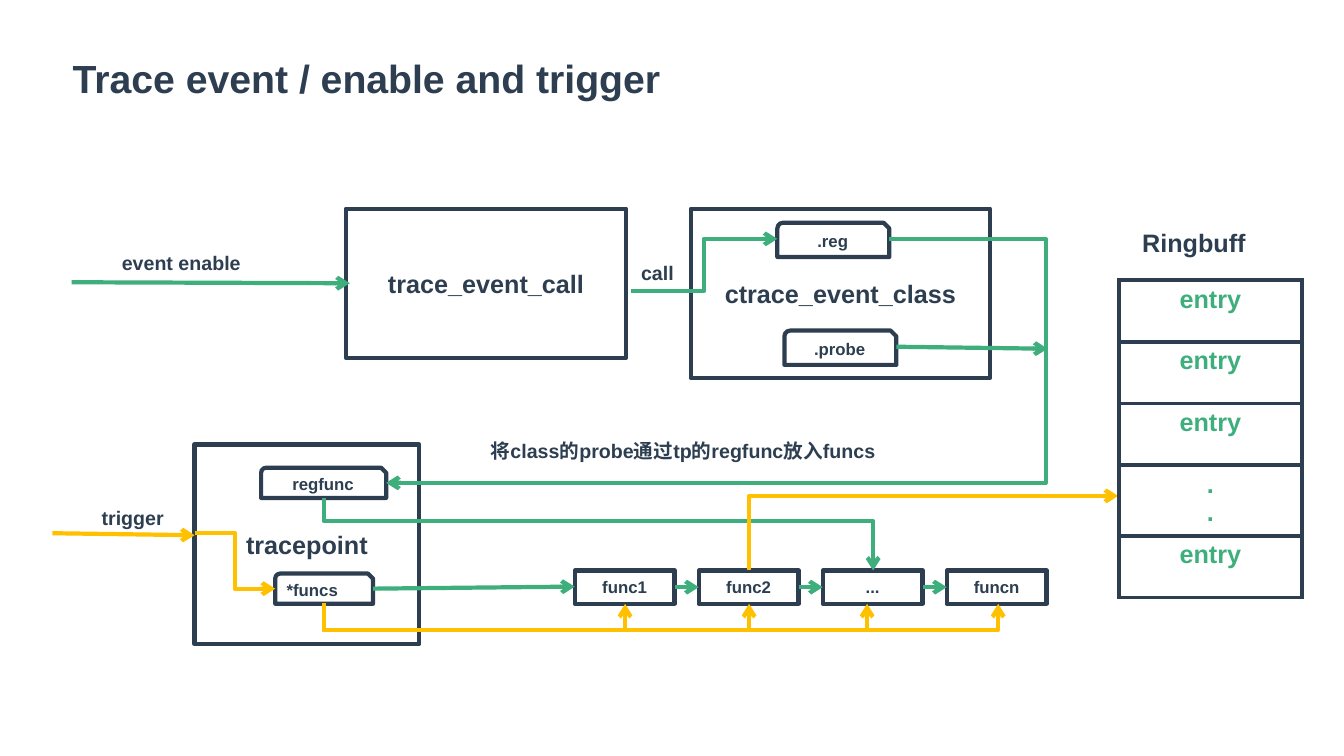
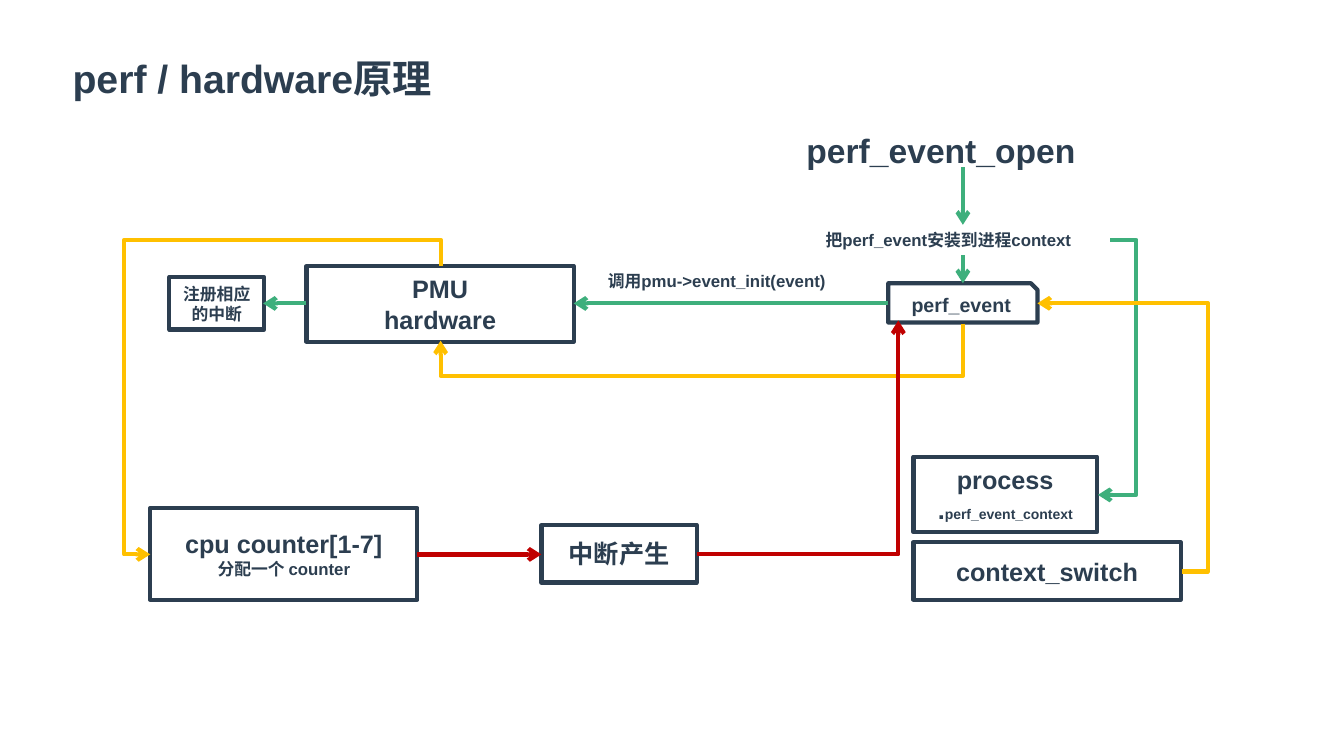
from dataclasses import dataclass

from lxml import etree
from pptx import Presentation
from pptx.dml.color import RGBColor
from pptx.enum.shapes import MSO_CONNECTOR, MSO_SHAPE
from pptx.enum.text import MSO_ANCHOR, PP_ALIGN
from pptx.oxml.ns import qn
from pptx.util import Inches, Pt

RECT = MSO_SHAPE.RECTANGLE
SNIP_ROUND = MSO_SHAPE.SNIP_ROUND_RECTANGLE
SNIP_ONE = MSO_SHAPE.SNIP_1_RECTANGLE
STRAIGHT, ELBOW = MSO_CONNECTOR.STRAIGHT, MSO_CONNECTOR.ELBOW
LEFT, CENTER = PP_ALIGN.LEFT, PP_ALIGN.CENTER
TOP, MIDDLE = MSO_ANCHOR.TOP, MSO_ANCHOR.MIDDLE
TITLE_ONLY = 5


@dataclass(frozen=True)
class Theme:
    font: str = "Arial"
    ink: str = "2C3E50"
    green: str = "3EAF7C"
    amber: str = "FFC000"
    red: str = "C00000"
    line: float = 3
    title: int = 28
    heading: int = 24
    large: int = 18
    label: int = 14
    small: int = 12
    tiny: int = 10


T = Theme()

# Function chain of the first slide
FUNCS = ["func1", "func2", "...", "funcn"]
FUNC_X, FUNC_Y, FUNC_W, FUNC_H, FUNC_STEP = 5.7, 5.66, 0.99, 0.33, 1.23
FUNC_MID = FUNC_Y + FUNC_H / 2
func_lefts = [FUNC_X + i * FUNC_STEP for i in range(len(FUNCS))]

# Trigger lines fan out from *funcs along one bus
FUNCS_PORT, BUS_Y, FAN_X = (3.21, 5.98), 6.25, [6.2, 7.43, 8.6, 9.9]

# Boxes: (preset, (left, top, width, height), paragraphs, size)
# Labels: (left, top, width, height), text, size
# Lines: (colour, points of the route)
TRACE = {
    "title": "Trace event / enable and trigger",
    "boxes": [
        (SNIP_ROUND, (7.78, 3.28, 1.11, 0.34), [".probe"], T.small),
        (SNIP_ROUND, (7.71, 2.21, 1.11, 0.34), [".reg"], T.small),
        (SNIP_ROUND, (2.59, 4.64, 1.24, 0.3), ["regfunc"], T.small),
        (SNIP_ROUND, (2.73, 5.69, 0.97, 0.3), ["*funcs"], T.small, LEFT),
        (RECT, (1.93, 4.41, 2.23, 1.98), ["tracepoint"], T.large),
        (RECT, (3.43, 2.07, 2.78, 1.48), ["trace_event_call"], T.large),
        (RECT, (6.85, 2.07, 2.97, 1.68), ["ctrace_event_class"], T.large),
    ] + [(RECT, (x, FUNC_Y, FUNC_W, FUNC_H), [name], T.small)
         for x, name in zip(func_lefts, FUNCS)],
    "labels": [
        ((1.11, 2.44, 1.96, 0.34), "event enable", T.label),
        ((6.26, 2.54, 0.7, 0.34), "call", T.label),
        ((4.77, 4.31, 4.43, 0.34), "将class的probe通过tp的regfunc放入funcs", T.label),
        ((0.91, 4.97, 1.26, 0.34), "trigger", T.label),
        ((11.23, 2.21, 1.41, 0.4), "Ringbuff", T.large),
    ],
    "lines": [
        (T.green, [(x + FUNC_W, FUNC_MID), (x + FUNC_STEP, FUNC_MID)])
        for x in func_lefts[:-1]
    ] + [
        (T.green, [(3.7, 5.84), (5.7, 5.82)]),
        (T.green, [(0.71, 2.8), (3.47, 2.81)]),
        (T.green, [(6.26, 2.89), (6.98, 2.89), (6.98, 2.37), (7.71, 2.37)]),
        (T.green, [(8.82, 2.37), (10.37, 2.37), (10.37, 4.79), (3.83, 4.79)]),
        (T.green, [(8.89, 3.44), (10.39, 3.46)]),
        (T.green, [(3.21, 4.94), (3.21, 5.17), (8.66, 5.17), (8.66, 5.66)]),
        (T.amber, [(0.52, 5.29), (1.93, 5.31)]),
        (T.amber, [(1.93, 5.29), (2.33, 5.29), (2.33, 5.84), (2.73, 5.84)]),
        (T.amber, [(7.43, 5.66), (7.43, 4.92), (11.09, 4.92)]),
    ] + [
        (T.amber, [FUNCS_PORT, (FUNCS_PORT[0], BUS_Y), (x, BUS_Y), (x, 5.99)])
        for x in FAN_X
    ],
}
RING_AT = (11.1, 2.78, 1.81, 3.06)
RING_ENTRIES = [["entry"], ["entry"], ["entry"], [".", "."], ["entry"]]

PERF = {
    "title": "perf / hardware原理",
    "boxes": [
        (RECT, (3.04, 2.64, 2.65, 0.75), ["PMU", "hardware"], T.large),
        (RECT, (1.49, 5.04, 2.65, 0.91),
         ["cpu counter[1-7]", [("分配一个 counter", T.small)]], T.large),
        (RECT, (1.68, 2.75, 0.94, 0.52), ["注册相应的中断"], T.small),
        (SNIP_ONE, (8.81, 2.81, 1.48, 0.39), ["perf_event"], T.label),
        (RECT, (9.06, 5.38, 2.65, 0.57), ["context_switch"], T.large),
        (RECT, (9.06, 4.53, 1.82, 0.75),
         ["process", [(".", T.large), ("perf_event_context", T.tiny)]], T.large),
        (RECT, (5.37, 5.21, 1.54, 0.57), ["中断产生"], T.large),
    ],
    "labels": [
        ((5.93, 2.64, 2.88, 0.3), "调用pmu->event_init(event)", T.small),
        ((7.9, 1.24, 3.31, 0.5), "perf_event_open", T.heading),
        ((8.09, 2.23, 2.92, 0.3), "把perf_event安装到进程context", T.small),
    ],
    "lines": [
        (T.green, [(9.55, 1.66), (9.55, 2.23)]),
        (T.green, [(9.55, 2.53), (9.55, 2.81)]),
        (T.green, [(8.81, 3.01), (5.69, 3.01)]),
        (T.green, [(3.04, 3.01), (2.61, 3.01)]),
        (T.green, [(11.01, 2.38), (11.27, 2.38), (11.27, 4.91), (10.89, 4.91)]),
        (T.amber, [(11.72, 5.67), (11.98, 5.67), (11.98, 3.01), (10.29, 3.01)]),
        (T.amber, [(9.55, 3.21), (9.55, 3.73), (4.37, 3.73), (4.37, 3.38)]),
        (T.amber, [(4.37, 2.64), (4.37, 2.38), (1.23, 2.38), (1.23, 5.5), (1.49, 5.5)]),
        (T.red, [(4.14, 5.5), (5.37, 5.5)]),
        (T.red, [(6.91, 5.5), (8.91, 5.5), (8.91, 3.18)]),
    ],
}


def inches(values):
    return [Inches(v) for v in values]


def write(tf, paragraphs, size, color=T.ink, align=LEFT, anchor=TOP):
    """Fill a text frame; a paragraph is a string or a list of (text, size)."""
    tf.word_wrap = True
    tf.vertical_anchor = anchor
    for i, runs in enumerate(paragraphs):
        p = tf.paragraphs[0] if i == 0 else tf.add_paragraph()
        p.alignment = align
        for text, pt in [(runs, size)] if isinstance(runs, str) else runs:
            r = p.add_run()
            r.text = text
            r.font.color.rgb = RGBColor.from_string(color)
            for name, value in {"name": T.font, "size": Pt(pt), "bold": True}.items():
                setattr(r.font, name, value)


def set_line(line, color):
    line.color.rgb = RGBColor.from_string(color)
    line.width = Pt(T.line)


def add_box(s, preset, at, paragraphs, size, align=CENTER):
    sp = s.shapes.add_shape(preset, *inches(at))
    sp.shadow.inherit = False
    sp.fill.background()
    set_line(sp.line, T.ink)
    write(sp.text_frame, paragraphs, size, align=align, anchor=MIDDLE)


def bend(cxn, points):
    """Shape an elbow connector so that it runs through the points."""
    (x1, y1), (x2, y2) = points[0], points[-1]
    dx, dy = x2 - x1, y2 - y1
    vertical = points[1][0] == x1
    # A route that leaves vertically is a horizontal one turned by 90 degrees
    w, h = (abs(dy), abs(dx)) if vertical else (abs(dx), abs(dy))
    flips = (dy < 0, dx > 0) if vertical else (dx < 0, dy < 0)
    cxn.left, cxn.top = inches([(x1 + x2 - w) / 2, (y1 + y2 - h) / 2])
    cxn.width, cxn.height = inches([w, h])
    xfrm = cxn._element.spPr.find(qn("a:xfrm"))
    for name, on in zip(("flipH", "flipV"), flips):
        xfrm.set(name, str(int(on)))
    xfrm.set("rot", str(90 * 60000 if vertical else 0))

    geom = cxn._element.spPr.find(qn("a:prstGeom"))
    geom.set("prst", f"bentConnector{len(points) - 1}")
    guides = geom.find(qn("a:avLst"))
    for i, (x, y) in enumerate(points[1:-2], 1):
        along_y = vertical == (i % 2 == 1)
        share = (y - y1) / dy if along_y else (x - x1) / dx
        etree.SubElement(guides, qn("a:gd"), name=f"adj{i}",
                         fmla=f"val {round(share * 100000)}")


def add_arrow(s, color, points):
    kind = STRAIGHT if len(points) == 2 else ELBOW
    cxn = s.shapes.add_connector(kind, *inches(points[0] + points[-1]))
    if kind == ELBOW:
        bend(cxn, points)
    set_line(cxn.line, color)
    etree.SubElement(cxn.line._get_or_add_ln(), qn("a:tailEnd"), type="arrow")
    etree.SubElement(cxn._element.spPr, qn("a:effectLst"))


def add_ring(s):
    table = s.shapes.add_table(len(RING_ENTRIES), 1, *inches(RING_AT)).table
    table.first_row = table.horz_banding = False
    for row, entry in enumerate(RING_ENTRIES):
        cell = table.cell(row, 0)
        write(cell.text_frame, entry, T.large, T.green, CENTER)
        tc_pr = cell._tc.get_or_add_tcPr()
        for side in ("lnL", "lnR", "lnT", "lnB"):
            ln = etree.SubElement(tc_pr, qn(f"a:{side}"), w=str(Pt(T.line)))
            fill = etree.SubElement(ln, qn("a:solidFill"))
            etree.SubElement(fill, qn("a:srgbClr"), val=T.ink)
        cell.fill.background()


def add_diagram(prs, content):
    s = prs.slides.add_slide(prs.slide_layouts[TITLE_ONLY])
    title = s.shapes.title
    title.left, title.top, title.width, title.height = inches((0.62, 0.49, 7.26, 0.57))
    write(title.text_frame, [content["title"]], T.title, anchor=MIDDLE)
    for box in content["boxes"]:
        add_box(s, *box)
    for at, text, size in content["labels"]:
        write(s.shapes.add_textbox(*inches(at)).text_frame, [text], size)
    for color, points in content["lines"]:
        add_arrow(s, color, points)
    return s


def main():
    prs = Presentation()
    prs.slide_width, prs.slide_height = inches((13.33, 7.5))
    add_ring(add_diagram(prs, TRACE))
    add_diagram(prs, PERF)
    prs.save("out.pptx")


if __name__ == "__main__":
    main()
